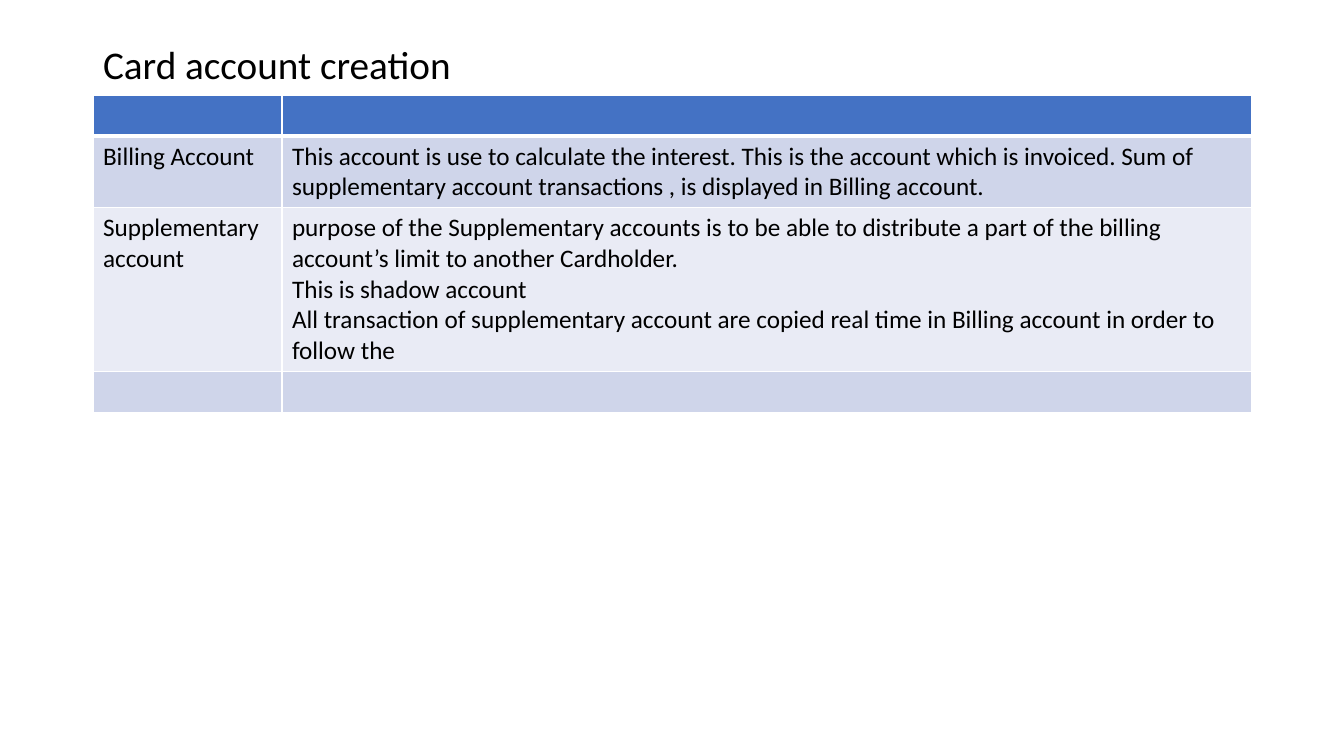
from lxml import etree
from pptx import Presentation
from pptx.dml.color import RGBColor
from pptx.enum.text import MSO_ANCHOR, PP_ALIGN
from pptx.oxml.ns import qn
from pptx.util import Pt

PX = 914400 / 100.8


def px(value):
    return round(value * PX)


def color(hex_code):
    return RGBColor.from_string(hex_code)


prs = Presentation()
prs.slide_width, prs.slide_height = px(1344), px(756)
slide = prs.slides.add_slide(prs.slide_layouts[5])

title = slide.shapes.title
title.left, title.top, title.width, title.height = px(93), px(40), px(639), px(54)
title.text_frame.text = "Card account creation"
title.text_frame.vertical_anchor = MSO_ANCHOR.MIDDLE
heading = title.text_frame.paragraphs[0]
heading.alignment = PP_ALIGN.LEFT
heading.line_spacing = 0.9
heading.font.size = Pt(28)
heading.font.name = "Calibri"
heading.font.color.rgb = color("000000")

rows = [
    ("4472C4", 41, "", ""),
    ("CFD5EA", 71, "Billing Account",
     "This account is use to calculate the interest. This is the account which is invoiced. "
     "Sum of supplementary account transactions , is displayed in Billing account."),
    ("E9EBF5", 163, "Supplementary account",
     "purpose of the Supplementary accounts is to be able to distribute a part of the billing "
     "account’s limit to another Cardholder.\n"
     "This is shadow account\n"
     "All transaction of supplementary account are copied real time in Billing account "
     "in order to follow the"),
    ("CFD5EA", 41, "", ""),
]
column_widths = [189, 970]

table = slide.shapes.add_table(
    len(rows), len(column_widths), px(93), px(95),
    px(sum(column_widths)), px(sum(row[1] for row in rows))).table
for column, width in zip(table.columns, column_widths):
    column.width = px(width)

for r, (fill, height, *texts) in enumerate(rows):
    table.rows[r].height = px(height)
    for c, text in enumerate(texts):
        cell = table.cell(r, c)
        cell.text = text
        for paragraph in cell.text_frame.paragraphs:
            paragraph.font.size = Pt(18)
            paragraph.font.name = "Calibri"
            paragraph.font.color.rgb = color("000000")
        properties = cell._tc.get_or_add_tcPr()
        for side in "LRTB":
            thick = (r, side) in [(0, "B"), (1, "T")]
            border = etree.SubElement(properties, qn(f"a:ln{side}"), w=str(Pt(3 if thick else 1)))
            line_fill = etree.SubElement(border, qn("a:solidFill"))
            etree.SubElement(line_fill, qn("a:srgbClr"), val="FFFFFF")
        cell.fill.solid()
        cell.fill.fore_color.rgb = color(fill)

prs.save("out.pptx")
